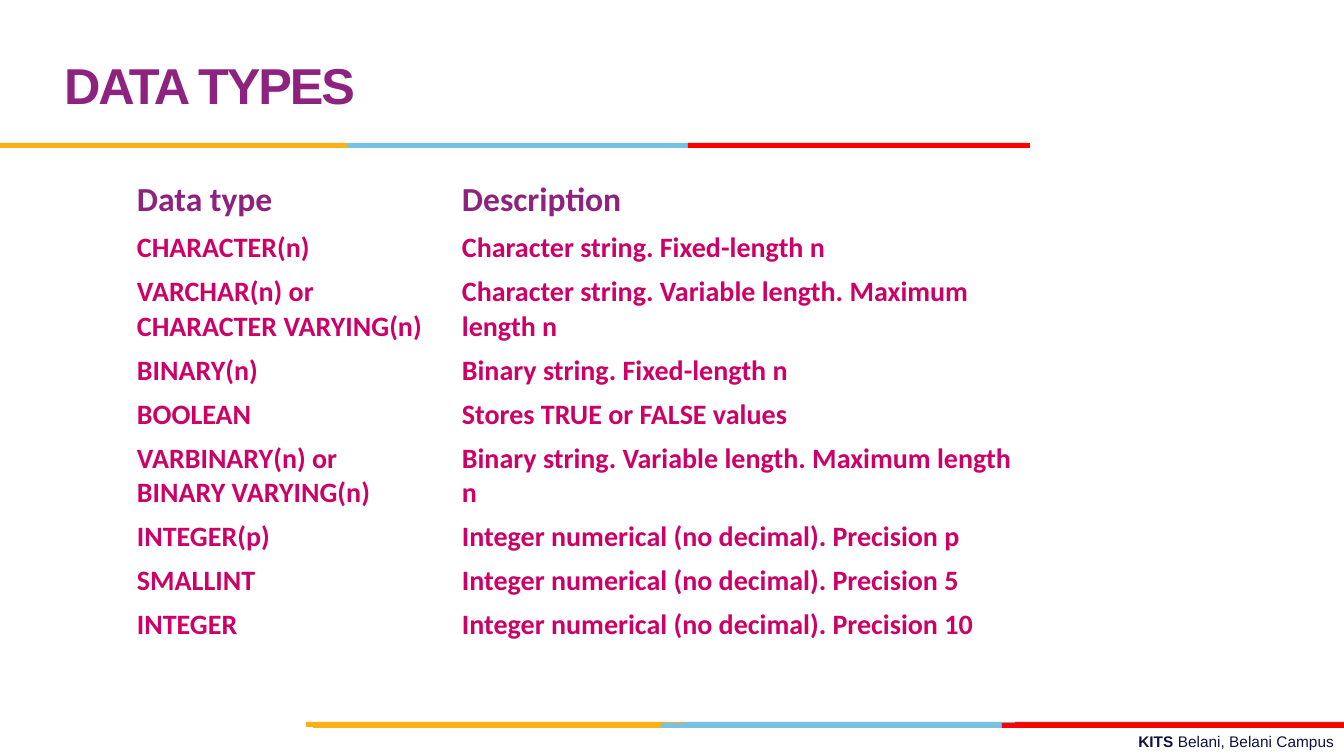
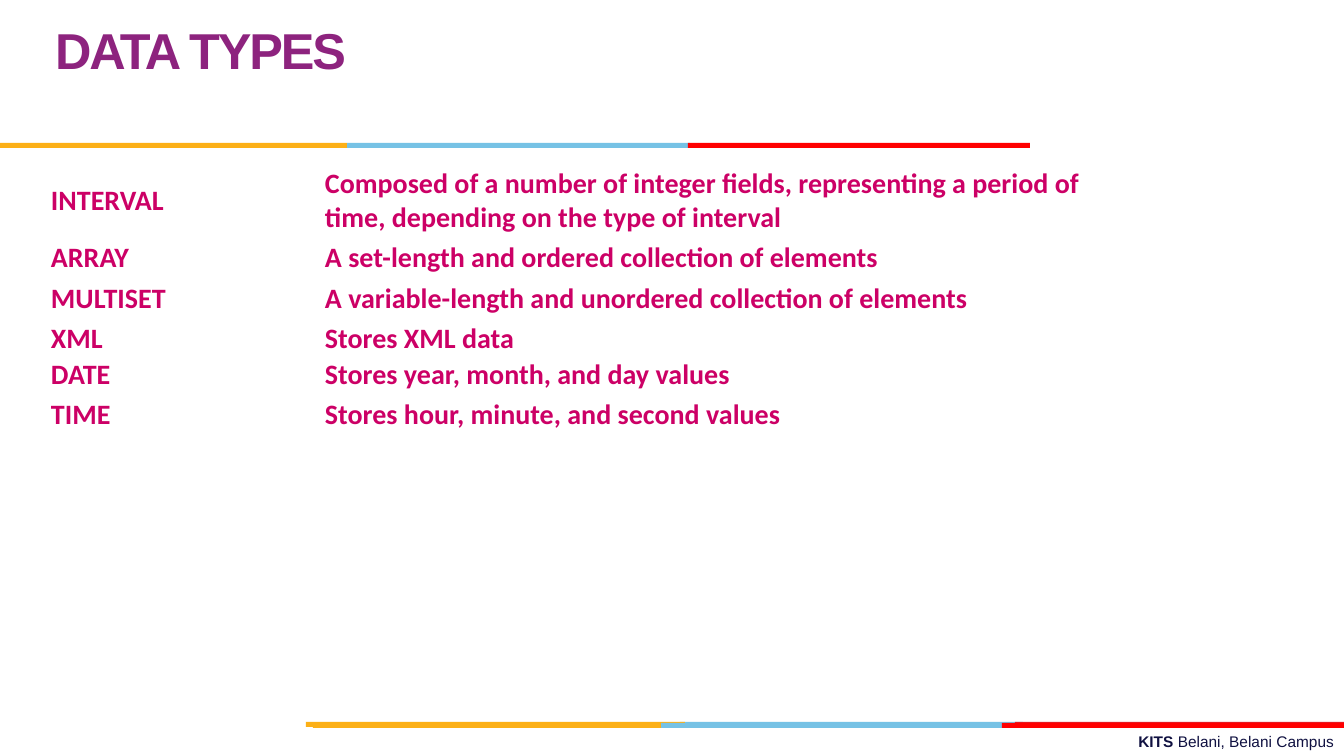
from pptx import Presentation, util as u
from pptx.dml.color import RGBColor
from pptx.enum import shapes, text

PX = 914400 / 100.8
SLIDE_W, SLIDE_H = 1344, 756
TITLE_W, TITLE_H = 929, 70
TITLE_LINE = 36
BAND_H = 5
LINE_RATIO = 1.22

COLORS = {
    "purple": "8D237E",
    "magenta": "CC0066",
    "navy": "101141",
    "yellow": "FCB017",
    "blue": "76C2E5",
    "crimson": "E31C24",
    "red": "FF0000",
}

TITLE_FONT = {"name": "Arial", "size": u.Pt(36), "bold": True}
HEADER_FONT = {"name": "Calibri", "size": u.Pt(24), "bold": True}
ROW_FONT = {"name": "Calibri", "size": u.Pt(20), "bold": True}
FOOTER_FONT = {"name": "Arial", "size": u.Pt(11)}

BANDS = [
    (680, 722, 343, "blue"),
    (1015, 722, 329, "crimson"),
    (306, 722, 379, "yellow"),
    (661, 723, 343, "blue"),
    (313, 723, 348, "yellow"),
    (1002, 723, 342, "red"),
    (347, 143, 343, "blue"),
    (0, 143, 347, "yellow"),
    (688, 143, 342, "red"),
]
FOOTER_BOX = (482, 727, 862, 29)
FOOTER = [("KITS ", True), ("Belani, Belani Campus", False)]

SLIDES = [
    {
        "title": "DATA TYPES",
        "title_at": (54, 54),
        "tables": [
            {
                "at": (127, 175),
                "columns": (325, 579),
                "insets": (10, 5),
                "header": ("Data type", "Description"),
                "rows": [
                    ("CHARACTER(n)", "Character string. Fixed-length n", 1),
                    ("VARCHAR(n) or\vCHARACTER VARYING(n)",
                     "Character string. Variable length. Maximum length n", 2),
                    ("BINARY(n)", "Binary string. Fixed-length n", 1),
                    ("BOOLEAN", "Stores TRUE or FALSE values", 1),
                    ("VARBINARY(n) or\vBINARY VARYING(n)",
                     "Binary string. Variable length. Maximum length n", 2),
                    ("INTEGER(p)", "Integer numerical (no decimal). Precision p", 1),
                    ("SMALLINT", "Integer numerical (no decimal). Precision 5", 1),
                    ("INTEGER", "Integer numerical (no decimal). Precision 10", 1),
                ],
            },
        ],
    },
    {
        "title": "DATA TYPES",
        "title_at": (45, 19),
        "tables": [
            {
                "at": (45, 164),
                "columns": (274, 823),
                "insets": (6, 3),
                "rows": [
                    ("INTERVAL",
                     "Composed of a number of integer fields, representing a period of time, "
                     "depending on the type of interval", 2),
                    ("ARRAY", "A set-length and ordered collection of elements", 1),
                    ("MULTISET", "A variable-length and unordered collection of elements", 1),
                    ("XML", "Stores XML data", 1),
                ],
            },
            {
                "at": (45, 355),
                "columns": (274, 823),
                "insets": (6, 3),
                "rows": [
                    ("DATE", "Stores year, month, and day values", 1),
                    ("TIME", "Stores hour, minute, and second values", 1),
                ],
            },
        ],
    },
]


def px(length):
    return u.Emu(round(length * PX))


def assign(target, values):
    for name, value in values.items():
        setattr(target, name, value)


def style_font(font, values, color):
    assign(font, values)
    font.color.rgb = RGBColor.from_string(COLORS[color])


def add_frame(slide):
    box = slide.shapes.add_textbox(*map(px, FOOTER_BOX))
    box.text_frame.word_wrap = True
    campus = box.text_frame.paragraphs[0]
    campus.alignment = text.PP_ALIGN.RIGHT
    for words, bold in FOOTER:
        run = campus.add_run()
        run.text = words
        style_font(run.font, {**FOOTER_FONT, "bold": bold}, "navy")
    for left, top, width, color in BANDS:
        band = slide.shapes.add_shape(
            shapes.MSO_SHAPE.RECTANGLE, *map(px, (left, top, width, BAND_H)))
        band.shadow.inherit = False
        band.fill.solid()
        band.fill.fore_color.rgb = RGBColor.from_string(COLORS[color])
        band.line.fill.background()


def set_title(slide, words, at):
    title = slide.shapes.title
    left, top = at
    assign(title, {"left": px(left), "top": px(top),
                   "width": px(TITLE_W), "height": px(TITLE_H)})
    frame = title.text_frame
    frame.text = words
    assign(frame, {"auto_size": text.MSO_AUTO_SIZE.NONE, "word_wrap": True,
                   "vertical_anchor": text.MSO_ANCHOR.MIDDLE})
    heading = frame.paragraphs[0]
    assign(heading, {"alignment": text.PP_ALIGN.LEFT, "line_spacing": u.Pt(TITLE_LINE)})
    run = heading.runs[0]
    style_font(run.font, TITLE_FONT, "purple")
    run.font._element.set("spc", "-150")


def add_types(slide, types):
    inset_x, inset_y = types["insets"]
    rows = [(row, ROW_FONT, "magenta") for row in types["rows"]]
    if "header" in types:
        rows.insert(0, ((*types["header"], 1), HEADER_FONT, "purple"))
    heights = [px(lines * font["size"].pt * LINE_RATIO * 1.4 + 2 * inset_y)
               for (_, _, lines), font, _ in rows]
    columns = [px(width) for width in types["columns"]]
    table = slide.shapes.add_table(
        len(rows), len(columns), *map(px, types["at"]), sum(columns), sum(heights)).table
    assign(table, {"first_row": False, "horz_banding": False})
    for column, width in zip(table.columns, columns):
        column.width = width
    margins = {"margin_left": px(inset_x), "margin_right": px(inset_x),
               "margin_top": px(inset_y), "margin_bottom": px(inset_y),
               "vertical_anchor": text.MSO_ANCHOR.MIDDLE}
    for line, height, ((name, description, _), font, color) in zip(table.rows, heights, rows):
        line.height = height
        for cell, words in zip(line.cells, (name, description)):
            cell.fill.background()
            assign(cell, margins)
            cell.text_frame.text = words
            for run in cell.text_frame.paragraphs[0].runs:
                style_font(run.font, font, color)


def main():
    deck = Presentation()
    assign(deck, {"slide_width": px(SLIDE_W), "slide_height": px(SLIDE_H)})
    for content in SLIDES:
        slide = deck.slides.add_slide(deck.slide_layouts[5])
        add_frame(slide)
        set_title(slide, content["title"], content["title_at"])
        for types in content["tables"]:
            add_types(slide, types)
    deck.save("out.pptx")


if __name__ == "__main__":
    main()
